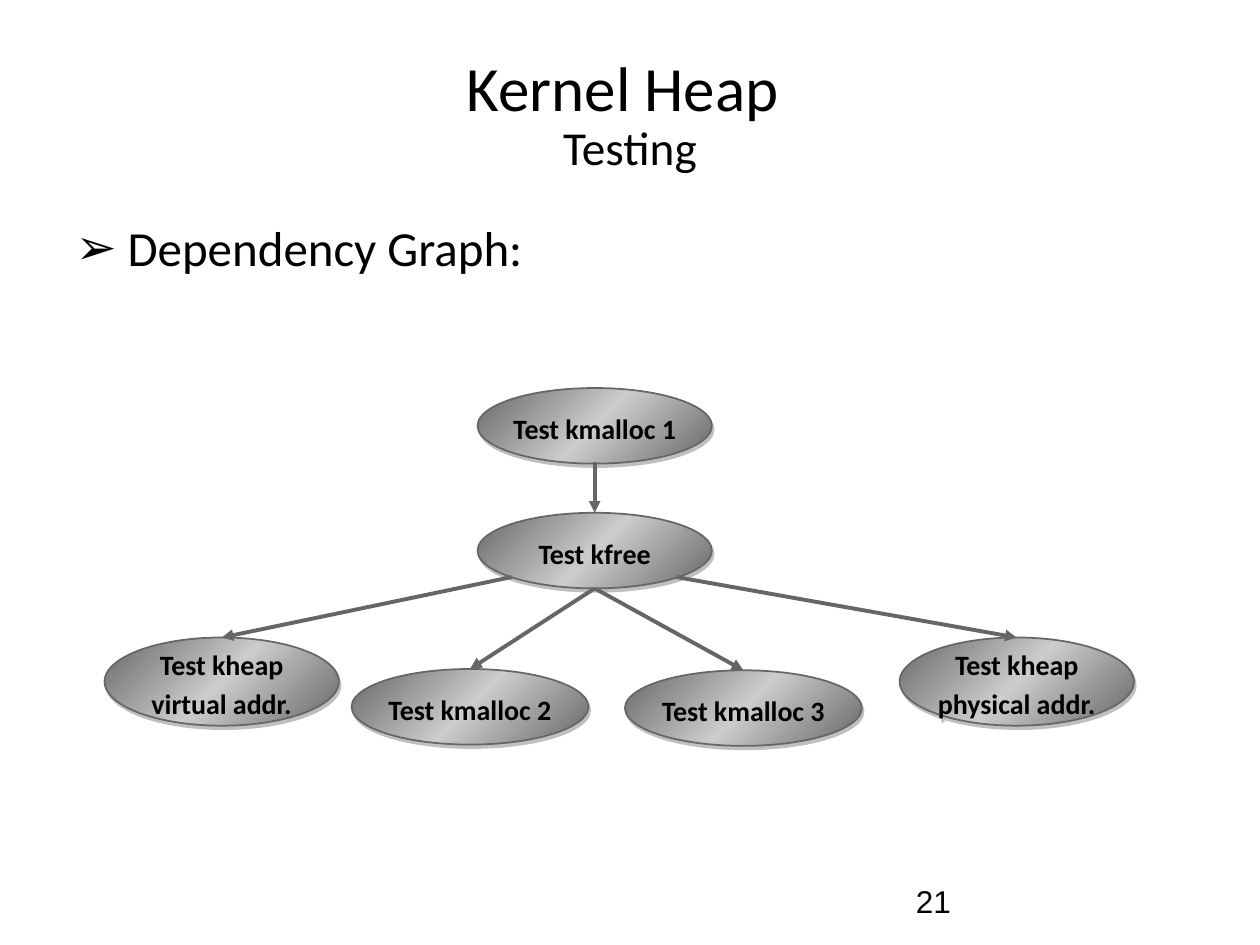
"""Build the kernel heap testing slide with its dependency graph."""
from copy import deepcopy

from lxml import etree
from pptx import Presentation
from pptx import util as u
from pptx.dml.color import RGBColor
from pptx.enum import shapes, text
from pptx.oxml import ns

BLACK = RGBColor(0x00, 0x00, 0x00)
DARK_GRAY = RGBColor(0x66, 0x66, 0x66)
LIGHT_GRAY = RGBColor(0xCC, 0xCC, 0xCC)
SHADOW_GRAY = RGBColor(0x80, 0x80, 0x80)


def write(paragraph, content, size, font="Calibri", bold=False, align=None,
          spacing=None, before=0, after=0):
    paragraph.alignment = align
    paragraph.line_spacing = spacing
    paragraph.space_before = u.Pt(before)
    paragraph.space_after = u.Pt(after)
    run = paragraph.add_run()
    run.text = content
    run.font.size = u.Pt(size)
    run.font.name = font
    run.font.bold = bold
    run.font.color.rgb = BLACK


def add_xml(parent, tag, **attributes):
    return etree.SubElement(parent, ns.qn(tag), attributes)


presentation = Presentation()
presentation.slide_width = u.Inches(10)
presentation.slide_height = u.Inches(7.5)
slide = presentation.slides.add_slide(presentation.slide_layouts[1])

title, body = slide.placeholders
title.left, title.top, title.width, title.height = map(u.Inches, (0.5, 0.3, 9, 1.25))
title.text_frame.vertical_anchor = text.MSO_ANCHOR.MIDDLE
paragraph = title.text_frame.paragraphs[0]
write(paragraph, "Kernel Heap ", 36, align=text.PP_ALIGN.CENTER, spacing=0.9)
paragraph.add_line_break()
write(paragraph, "Testing", 27, align=text.PP_ALIGN.CENTER, spacing=0.9)

body.left, body.top, body.width, body.height = map(u.Inches, (0.5, 1.73, 9, 4.95))
paragraph = body.text_frame.paragraphs[0]
write(paragraph, " Dependency Graph:", 28, spacing=0.9, before=10)
properties = paragraph._p.get_or_add_pPr()
properties.set("marL", str(u.Inches(0.25)))
properties.set("indent", str(u.Inches(-0.25)))
add_xml(properties, "a:buFont", typeface="Arial")
add_xml(properties, "a:buChar", char="➢")

number = slide.shapes.add_textbox(u.Inches(7.17), u.Inches(6.95), u.Inches(2.33), u.Inches(0.4))
number.text_frame.word_wrap = True
number.text_frame.vertical_anchor = text.MSO_ANCHOR.MIDDLE
write(number.text_frame.paragraphs[0], "21", 18, font="Arial")

tests = [
    ("Test kmalloc 1", 3.79, 3.08, 1.86, 0.6),
    ("Test kfree", 3.79, 4.07, 1.86, 0.6),
    ("Test kheap virtual addr.", 0.83, 5.06, 1.86, 0.7),
    ("Test kheap physical addr.", 7.14, 5.06, 1.86, 0.7),
    ("Test kmalloc 2", 2.79, 5.31, 1.88, 0.6),
    ("Test kmalloc 3", 4.96, 5.32, 1.88, 0.6),
]
ellipses = {}
for name, *box in tests:
    shape = slide.shapes.add_shape(shapes.MSO_SHAPE.OVAL, *map(u.Inches, box))
    ellipses[name] = shape
    shape.fill.gradient()
    shape.fill.gradient_angle = 315
    for stop in shape.fill.gradient_stops:
        stop.color.rgb = DARK_GRAY
    first_stop = shape._element.spPr.find(".//" + ns.qn("a:gs"))
    middle_stop = deepcopy(first_stop)
    middle_stop.set("pos", "50000")
    middle_stop.find(ns.qn("a:srgbClr")).set("val", str(LIGHT_GRAY))
    first_stop.addnext(middle_stop)
    shape.line.color.rgb = DARK_GRAY
    shape.line.width = u.Pt(1)

    effects = add_xml(shape._element.spPr, "a:effectLst")
    shadow = add_xml(effects, "a:outerShdw", blurRad="0", dist=str(u.Pt(2.2)),
                     dir=str(63 * 60000), algn="ctr", rotWithShape="0")
    color = add_xml(shadow, "a:srgbClr", val=str(SHADOW_GRAY))
    add_xml(color, "a:alpha", val="50000")

    frame = shape.text_frame
    frame.word_wrap = True
    frame.vertical_anchor = text.MSO_ANCHOR.MIDDLE
    frame.margin_left = frame.margin_right = frame.margin_top = frame.margin_bottom = 0
    write(frame.paragraphs[0], name, 16, bold=True, align=text.PP_ALIGN.CENTER,
          spacing=1.15, after=7.5)

BOTTOM_LEFT, BOTTOM, BOTTOM_RIGHT = 3, 4, 5
dependencies = [
    ("Test kmalloc 1", BOTTOM, 4.72, 3.67, "Test kfree"),
    ("Test kfree", BOTTOM_LEFT, 4.06, 4.58, "Test kheap virtual addr."),
    ("Test kfree", BOTTOM_RIGHT, 5.37, 4.58, "Test kheap physical addr."),
    ("Test kfree", BOTTOM, 4.72, 4.67, "Test kmalloc 2"),
    ("Test kfree", BOTTOM, 4.72, 4.67, "Test kmalloc 3"),
]
for source, site, x, y, target in dependencies:
    x, y = u.Inches(x), u.Inches(y)
    connector = slide.shapes.add_connector(shapes.MSO_CONNECTOR.STRAIGHT, x, y, x, y)
    joints = connector._element.nvCxnSpPr.cNvCxnSpPr
    add_xml(joints, "a:stCxn", id=str(ellipses[source].shape_id), idx=str(site))
    connector.end_connect(ellipses[target], 0)
    connector.line.color.rgb = DARK_GRAY
    connector.line.width = u.Pt(2.25)
    add_xml(connector.line._get_or_add_ln(), "a:tailEnd", type="triangle")
    add_xml(connector._element.spPr, "a:effectLst")

presentation.save("out.pptx")
